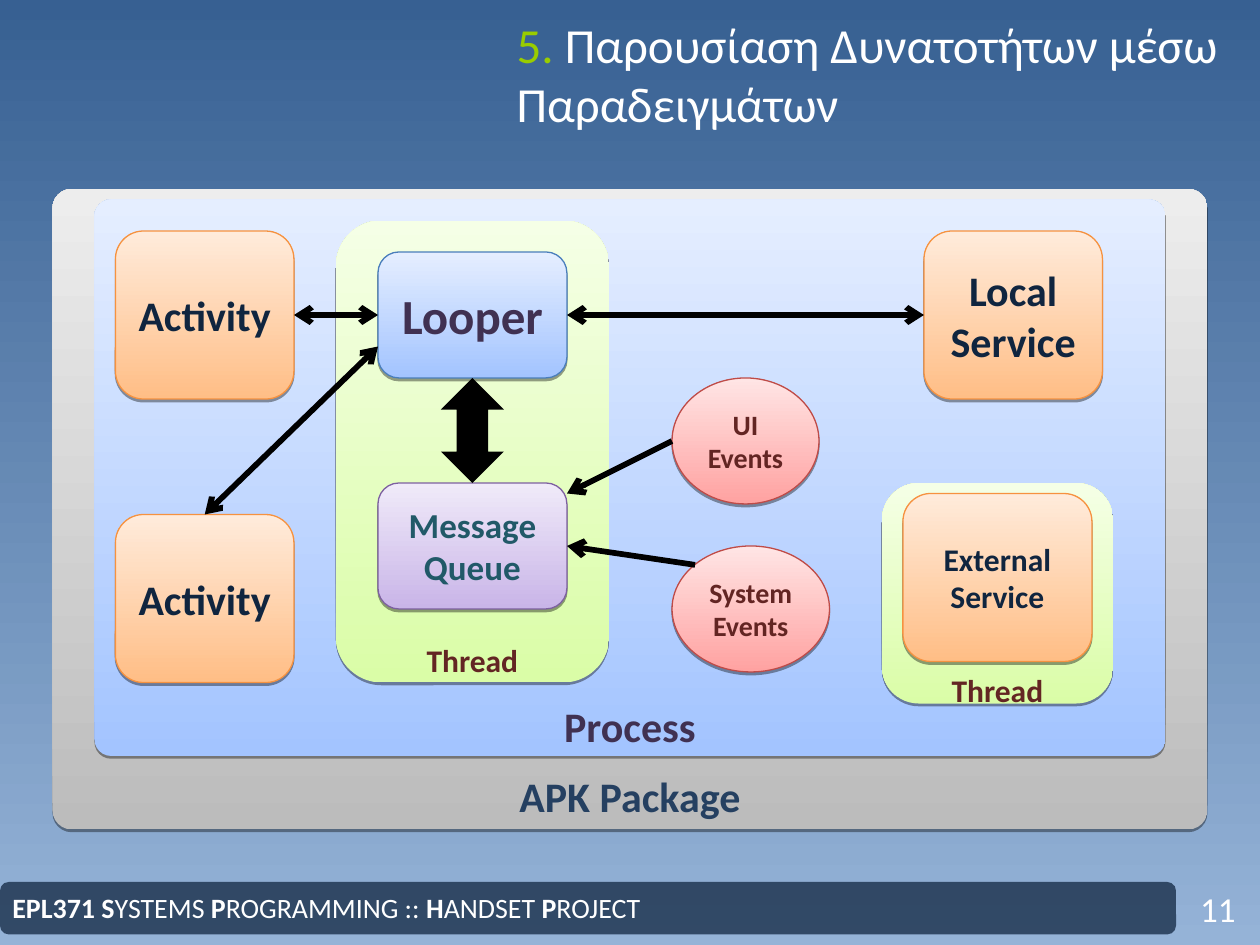
from lxml import etree
from pptx import Presentation
from pptx.dml.color import RGBColor
from pptx.enum.shapes import MSO_CONNECTOR, MSO_SHAPE
from pptx.enum.text import MSO_ANCHOR, PP_ALIGN
from pptx.oxml.ns import qn
from pptx.util import Inches, Pt

ROUND, OVAL = MSO_SHAPE.ROUNDED_RECTANGLE, MSO_SHAPE.FLOWCHART_CONNECTOR
UP_DOWN = MSO_SHAPE.UP_DOWN_ARROW
STRAIGHT = MSO_CONNECTOR.STRAIGHT
MIDDLE, BOTTOM = MSO_ANCHOR.MIDDLE, MSO_ANCHOR.BOTTOM
LEFT, CENTER = PP_ALIGN.LEFT, PP_ALIGN.CENTER
TOP_SIDE, LEFT_SIDE, RIGHT_SIDE = 0, 1, 3

GREY = ("BCBCBC", "EDEDED", None)
SKY = ("A3C4FF", "E5EEFF", None)
BLUE = ("A3C4FF", "E5EEFF", "4A7EBB")
GREEN = ("DAFDA7", "F5FFE6", None)
PURPLE = ("C9B5E8", "F0EAF9", "7D60A0")
ORANGE = ("FFBE86", "FFEBDB", "F69240")
RED = ("FFA2A1", "FFE5E5", "BE4B48")


def rgb(value):
    return RGBColor.from_string(value)


def sub(parent, tag, **attrs):
    return etree.SubElement(parent, qn(tag), attrs)


class Deck:
    FONT = "Calibri"
    COLS, ROWS = 120, 90

    def __init__(self, width, height):
        self.prs = Presentation()
        self.prs.slide_width, self.prs.slide_height = Inches(width), Inches(height)
        self.s = self.prs.slides.add_slide(self.prs.slide_layouts[5])

    def at(self, col, row):
        return (round(self.prs.slide_width * col / self.COLS),
                round(self.prs.slide_height * row / self.ROWS))

    def box(self, cells):
        return (*self.at(*cells[:2]), *self.at(*cells[2:]))

    def gradient(self, fill, start, end, angle):
        fill.gradient()
        fill.gradient_angle = angle
        for stop, color in zip(fill.gradient_stops, (start, end)):
            stop.color.rgb = rgb(color)

    def style(self, r, size, color, bold=False):
        for name, value in {"name": self.FONT, "size": Pt(size), "bold": bold}.items():
            setattr(r.font, name, value)
        r.font.color.rgb = rgb(color)

    def frame(self, sp, anchor, align):
        tf = sp.text_frame
        tf.word_wrap, tf.vertical_anchor = True, anchor
        for p in tf.paragraphs:
            p.alignment = align
        return tf

    def runs(self, sp, runs, align=LEFT):
        p = self.frame(sp, MIDDLE, align).paragraphs[0]
        for text, size, color, bold in runs:
            r = p.add_run()
            r.text = text
            self.style(r, size, color, bold)

    def title(self, cells, runs):
        sp = self.s.shapes.title
        sp.left, sp.top, sp.width, sp.height = self.box(cells)
        self.runs(sp, runs)

    def text(self, cells, runs, align=LEFT):
        self.runs(self.s.shapes.add_textbox(*self.box(cells)), runs, align)

    def solid(self, kind, cells, color, alpha=100):
        sp = self.s.shapes.add_shape(kind, *self.box(cells))
        sp.shadow.inherit = False
        sp.fill.solid()
        sp.fill.fore_color.rgb = rgb(color)
        sp.line.fill.background()
        if alpha < 100:
            clr = sp._element.spPr.find(qn("a:solidFill"))[0]
            sub(clr, "a:alpha", val=str(alpha * 1000))

    def node(self, kind, cells, theme, text, size, color, radius=None, bottom=None):
        sp = self.s.shapes.add_shape(kind, *self.box(cells))
        start, end, line = theme
        self.gradient(sp.fill, start, end, 90)
        if line:
            sp.line.color.rgb = rgb(line)
            sp.line.width = Pt(0.75)
        else:
            sp.line.fill.background()
        if radius:
            sp.adjustments[0] = radius
        self.shadow(sp)
        sp.text_frame.text = text
        tf = self.frame(sp, MIDDLE if bottom is None else BOTTOM, CENTER)
        if bottom is not None:
            tf.margin_bottom = Inches(bottom)
        for p in tf.paragraphs:
            for r in p.runs:
                self.style(r, size, color, True)
        return sp

    def shadow(self, sp):
        sp.shadow.inherit = False
        effects = sp._element.spPr.find(qn("a:effectLst"))
        outer = sub(effects, "a:outerShdw", blurRad="0", dist=str(Pt(1.6)),
                    dir="5400000", rotWithShape="0")
        sub(sub(outer, "a:srgbClr", val="000000"), "a:alpha", val="38000")

    def arrow(self, start, end, begin=None, finish=None, both=True):
        c = self.s.shapes.add_connector(STRAIGHT, *self.at(*start), *self.at(*end))
        if begin:
            c.begin_connect(*begin)
        if finish:
            c.end_connect(*finish)
        c.line.color.rgb = rgb("000000")
        c.line.width = Pt(3.25)
        spPr = c._element.spPr
        ln = spPr.find(qn("a:ln"))
        for tag in ("a:headEnd", "a:tailEnd") if both else ("a:headEnd",):
            sub(ln, tag, type="arrow")
        sub(spPr, "a:effectLst")


def main():
    d = Deck(10, 7.5)
    white = "FFFFFF"
    d.gradient(d.s.background.fill, "376092", "95B3D7", 270)

    d.solid(ROUND, (0, 84, 112, 5), "10253F", 74)
    d.title((48, 0, 72, 14), [("5. ", 28, "99CC00", False),
                              ("Παρουσίαση Δυνατοτήτων μέσω Παραδειγμάτων", 28, white, False)])
    footer = ("EPL371 S", "YSTEMS ", "P", "ROGRAMMING :: ", "H", "ANDSET ", "P", "ROJECT")
    d.text((0, 84, 112, 4.8), [(t, 16, white, i % 2 == 0) for i, t in enumerate(footer)])
    d.text((113, 84, 6, 5), [("11", 20, white, False)], CENTER)

    d.node(ROUND, (5, 18, 110, 61), GREY, "APK Package", 24, "254061", 0.03, 0.02)
    d.node(ROUND, (9, 19, 102, 53), SKY, "Process", 24, "403152", 0.03, 0)
    d.node(ROUND, (32, 21, 26, 44), GREEN, "Thread", 18, "632523", bottom=-0.08)
    d.node(ROUND, (36, 46, 18, 12), PURPLE, "Message\nQueue", 20, "215968")
    looper = d.node(ROUND, (36, 24, 18, 12), BLUE, "Looper", 28, "403152")
    d.solid(UP_DOWN, (42, 36, 6, 10), "000000")

    upper, lower = [d.node(ROUND, (11, row, 17, 16), ORANGE, "Activity", 24, "10253F")
                    for row in (22, 49)]
    d.arrow((19.5, 49), (36, 33), begin=(lower, TOP_SIDE))
    d.arrow((28, 30), (36, 30), (upper, RIGHT_SIDE), (looper, LEFT_SIDE))

    for row, width, name in ((36, 14, "UI"), (52, 15, "System")):
        d.node(OVAL, (64, row, width, 12), RED, name + "\nEvents", 16, "632523")
    d.arrow((54, 47), (64, 42), both=False)
    d.arrow((54, 52), (66.2, 53.8), both=False)

    local = d.node(ROUND, (88, 22, 17, 16), ORANGE, "Local Service", 24, "10253F")
    d.arrow((54, 30), (88, 30), (looper, RIGHT_SIDE), (local, LEFT_SIDE))
    d.node(ROUND, (84, 46, 22, 21), GREEN, "Thread", 18, "632523", bottom=-0.13)
    d.node(ROUND, (86, 47, 18, 16), ORANGE, "External\vService", 18, "10253F")

    d.prs.save("out.pptx")


if __name__ == "__main__":
    main()
